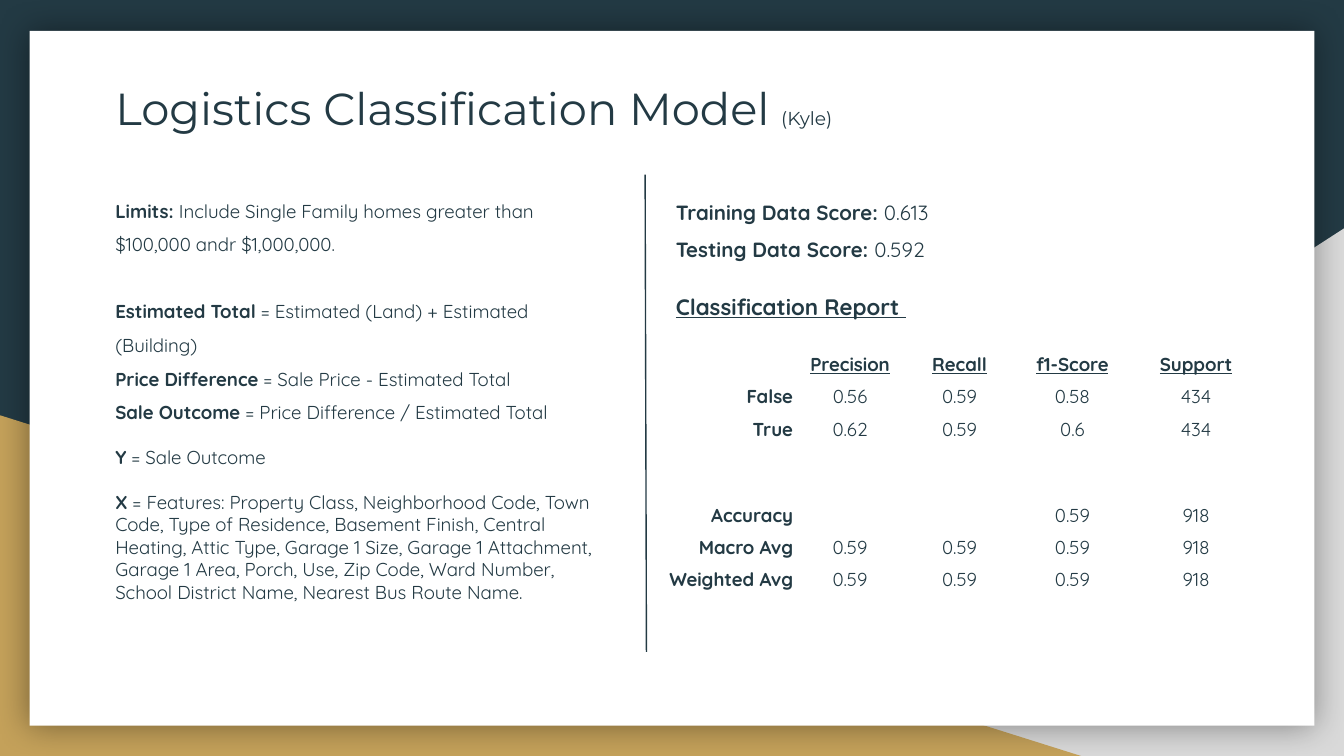
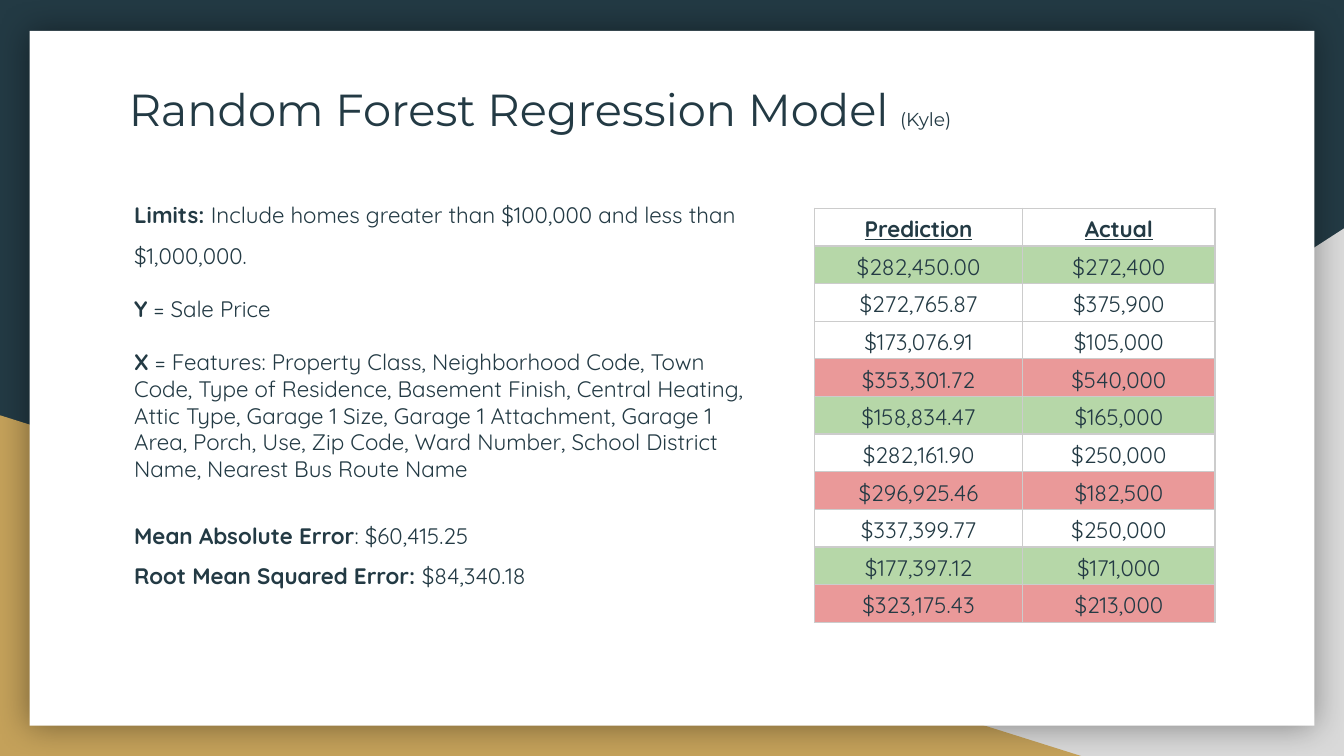
from dataclasses import dataclass
from typing import Optional

from lxml.etree import SubElement
from pptx import Presentation
from pptx.dml.color import RGBColor
from pptx.enum.shapes import MSO_CONNECTOR, MSO_SHAPE
from pptx.enum.text import MSO_ANCHOR, PP_ALIGN
from pptx.oxml import parse_xml
from pptx.oxml.ns import nsdecls, qn
from pptx.util import Inches, Pt

COLORS = {
    "ink": "233A44",
    "gold": "C4A15A",
    "grey": "D9D9D9",
    "white": "FFFFFF",
    "border": "CCCCCC",
    "close": "B6D7A8",
    "far": "EA9999",
}
TITLE_FONT = "Montserrat"
BODY_FONT = "Quicksand"
PLAIN_TABLE_STYLE = "{2D5ABB26-0587-4C30-8999-92F81FD0307C}"
FEATURES = (
    " = Features: Property Class, Neighborhood Code, Town Code, Type of Residence, "
    "Basement Finish, Central Heating, Attic Type, Garage 1 Size, Garage 1 Attachment, "
    "Garage 1 Area, Porch, Use, Zip Code, Ward Number, School District Name, "
    "Nearest Bus Route Name"
)


@dataclass(frozen=True)
class Box:
    left: float
    top: float
    width: float
    height: float

    def lengths(self):
        return [Inches(value) for value in (self.left, self.top, self.width, self.height)]


@dataclass(frozen=True)
class Backdrop:
    preset: MSO_SHAPE
    box: Box
    color: str
    flipped: bool = False
    shadowed: bool = False


@dataclass(frozen=True)
class Line:
    lead: str
    rest: str = ""
    spacing: float = 1.0
    before: float = 0
    underline: bool = False


@dataclass(frozen=True)
class Cell:
    text: str = ""
    bold: bool = False
    underline: bool = False
    align: PP_ALIGN = PP_ALIGN.CENTER
    fill: Optional[str] = None


BACKDROPS = (
    Backdrop(MSO_SHAPE.RIGHT_TRIANGLE, Box(3.92, 1.7, 6.08, 3.93), "grey", flipped=True),
    Backdrop(MSO_SHAPE.RIGHT_TRIANGLE, Box(0, 3.09, 8.06, 2.54), "gold"),
    Backdrop(MSO_SHAPE.RECTANGLE, Box(0.22, 0.23, 9.56, 5.17), "white", shadowed=True),
)

CLASSIFICATION_NOTES = (
    Line("Limits: ", "Include Single Family homes greater than $100,000 andr $1,000,000.", 1.5),
    Line("Estimated Total", " = Estimated (Land) + Estimated (Building)", 1.5, 18),
    Line("Price Difference", " = Sale Price - Estimated Total", 1.5),
    Line("Sale Outcome ", "= Price Difference / Estimated Total", 1.5),
    Line("Y", " = Sale Outcome", before=12),
    Line("X", FEATURES + ".", before=12),
)
SCORES = (
    Line("Training Data Score:", " 0.613", 1.5),
    Line("Testing Data Score: ", "0.592", 1.5),
)
REPORT_HEADINGS = ("", "Precision", "Recall", "f1-Score", "Support")
REPORT_ROWS = (
    ("False", "0.56", "0.59", "0.58", "434"),
    ("True", "0.62", "0.59", "0.6", "434"),
    ("", "", "", "", ""),
    ("Accuracy", "", "", "0.59", "918"),
    ("Macro Avg", "0.59", "0.59", "0.59", "918"),
    ("Weighted Avg", "0.59", "0.59", "0.59", "918"),
)

REGRESSION_NOTES = (
    Line("Limits: ", "Include homes greater than $100,000 and less than $1,000,000.", 1.5),
    Line("Y", " = Sale Price", before=14),
    Line("X", FEATURES, before=14),
    Line("Mean Absolute Error", ": $60,415.25", 1.5, 14),
    Line("Root Mean Squared Error: ", "$84,340.18", 1.5),
)
PREDICTIONS = (
    ("$282,450.00", "$272,400", "close"),
    ("$272,765.87", "$375,900", None),
    ("$173,076.91", "$105,000", None),
    ("$353,301.72", "$540,000", "far"),
    ("$158,834.47", "$165,000", "close"),
    ("$282,161.90", "$250,000", None),
    ("$296,925.46", "$182,500", "far"),
    ("$337,399.77", "$250,000", None),
    ("$177,397.12", "$171,000", "close"),
    ("$323,175.43", "$213,000", "far"),
)


def rgb(name: str) -> RGBColor:
    return RGBColor.from_string(COLORS[name])


def style_font(font, name: str, size: Optional[float] = None) -> None:
    font.name = name
    font.color.rgb = rgb("ink")
    if size:
        font.size = Pt(size)


def add_shadow(shape) -> None:
    shape._element.spPr.append(parse_xml(
        f'<a:effectLst {nsdecls("a")}>'
        f'<a:outerShdw blurRad="{Pt(18)}" dist="0" dir="0" algn="ctr" rotWithShape="0">'
        '<a:srgbClr val="000000"><a:alpha val="40000"/></a:srgbClr>'
        '</a:outerShdw></a:effectLst>'
    ))


def draw_backdrop(slide, backdrop: Backdrop) -> None:
    shape = slide.shapes.add_shape(backdrop.preset, *backdrop.box.lengths())
    shape.fill.solid()
    shape.fill.fore_color.rgb = rgb(backdrop.color)
    shape.line.fill.background()
    if backdrop.flipped:
        shape._element.spPr.find(qn("a:xfrm")).set("flipH", "1")
    if backdrop.shadowed:
        add_shadow(shape)
    else:
        shape.shadow.inherit = False


def add_text_frame(slide, box: Box):
    text_frame = slide.shapes.add_textbox(*box.lengths()).text_frame
    text_frame.word_wrap = True
    for side in ("left", "top", "right", "bottom"):
        setattr(text_frame, f"margin_{side}", Inches(0.1))
    return text_frame


def draw_title(slide, box: Box, title: str, author: str) -> None:
    paragraph = add_text_frame(slide, box).paragraphs[0]
    style_font(paragraph.font, TITLE_FONT)
    for text, size in ((f"{title} ", 24), (f"({author})", 10)):
        run = paragraph.add_run()
        run.text = text
        run.font.size = Pt(size)


def draw_lines(slide, box: Box, lines: tuple[Line, ...], size: float) -> None:
    text_frame = add_text_frame(slide, box)
    for index, line in enumerate(lines):
        paragraph = text_frame.add_paragraph() if index else text_frame.paragraphs[0]
        paragraph.line_spacing = line.spacing
        if line.before:
            paragraph.space_before = Pt(line.before)
        style_font(paragraph.font, BODY_FONT, size)
        paragraph.font.underline = line.underline
        for text, bold in ((line.lead, True), (line.rest, False)):
            if text:
                run = paragraph.add_run()
                run.text = text
                run.font.bold = bold


def add_borders(cell) -> None:
    properties = cell._tc.get_or_add_tcPr()
    for edge in ("lnL", "lnR", "lnT", "lnB"):
        border = SubElement(properties, qn(f"a:{edge}"), w=str(Pt(0.75)))
        fill = SubElement(border, qn("a:solidFill"))
        SubElement(fill, qn("a:srgbClr"), val=COLORS["border"])


def fill_cell(cell, content: Cell, size: float, bordered: bool) -> None:
    cell.margin_left = cell.margin_right = Inches(0.03)
    cell.margin_top = cell.margin_bottom = Inches(0.02)
    cell.vertical_anchor = MSO_ANCHOR.BOTTOM
    if bordered:
        add_borders(cell)
    if content.fill:
        cell.fill.solid()
        cell.fill.fore_color.rgb = rgb(content.fill)
    else:
        cell.fill.background()
    paragraph = cell.text_frame.paragraphs[0]
    paragraph.alignment = content.align
    if content.text:
        paragraph.line_spacing = 1.15
        paragraph.add_run().text = content.text
    style_font(paragraph.font, BODY_FONT, size)
    paragraph.font.bold = content.bold
    paragraph.font.underline = content.underline


def draw_table(slide, left: float, top: float, widths: tuple[float, ...],
               heights: list[float], rows: list[list[Cell]], size: float,
               bordered: bool = False) -> None:
    box = Box(left, top, sum(widths), sum(heights))
    table = slide.shapes.add_table(len(rows), len(widths), *box.lengths()).table
    table.first_row = table.horz_banding = False
    table._tbl.tblPr.find(qn("a:tableStyleId")).text = PLAIN_TABLE_STYLE
    for column, width in zip(table.columns, widths):
        column.width = Inches(width)
    for row, height, contents in zip(table.rows, heights, rows):
        row.height = Inches(height)
        for cell, content in zip(row.cells, contents):
            fill_cell(cell, content, size, bordered)


def draw_divider(slide) -> None:
    ends = [Inches(value) for value in (4.81, 4.85, 4.8, 1.3)]
    divider = slide.shapes.add_connector(MSO_CONNECTOR.STRAIGHT, *ends)
    divider.line.color.rgb = rgb("ink")
    divider.line.width = Pt(0.75)
    SubElement(divider._element.spPr, qn("a:effectLst"))


def add_base_slide(presentation):
    slide = presentation.slides.add_slide(presentation.slide_layouts[6])
    slide.background.fill.solid()
    slide.background.fill.fore_color.rgb = rgb("ink")
    for backdrop in BACKDROPS:
        draw_backdrop(slide, backdrop)
    return slide


def heading_cells(headings: tuple[str, ...]) -> list[Cell]:
    return [Cell(text, bold=True, underline=True) for text in headings]


def build_classification(presentation) -> None:
    slide = add_base_slide(presentation)
    draw_title(slide, Box(0.76, 0.5, 8.19, 0.88), "Logistics Classification Model", "Kyle")
    rows = [heading_cells(REPORT_HEADINGS)]
    for label, *values in REPORT_ROWS:
        rows.append([Cell(label, bold=True, align=PP_ALIGN.RIGHT), *map(Cell, values)])
    heights = [0.34, 0.24, 0.24, 0.3, 0.34, 0.24, 0.24]
    draw_table(slide, 4.93, 2.48, (1, 0.79, 0.84, 0.84, 1), heights, rows, 10)
    report_heading = (Line("Classification Report ", underline=True),)
    draw_lines(slide, Box(4.93, 2.08, 4.1, 0.41), report_heading, 12)
    draw_divider(slide)
    draw_lines(slide, Box(4.93, 1.3, 4.46, 0.67), SCORES, 11)
    draw_lines(slide, Box(0.76, 1.3, 3.86, 3.55), CLASSIFICATION_NOTES, 10)


def build_regression(presentation) -> None:
    slide = add_base_slide(presentation)
    draw_title(slide, Box(0.86, 0.51, 8.19, 0.74), "Random Forest Regression Model", "Kyle")
    draw_lines(slide, Box(0.9, 1.3, 4.79, 3.55), REGRESSION_NOTES, 12)
    rows = [heading_cells(("Prediction", "Actual"))]
    for prediction, actual, fill in PREDICTIONS:
        rows.append([Cell(prediction, fill=fill), Cell(actual, fill=fill)])
    draw_table(slide, 6.06, 1.55, (1.55, 1.43), [0.28] * len(rows), rows, 12, bordered=True)


def main() -> None:
    presentation = Presentation()
    presentation.slide_width = Inches(10)
    presentation.slide_height = Inches(5.625)
    build_classification(presentation)
    build_regression(presentation)
    presentation.save("out.pptx")


if __name__ == "__main__":
    main()
